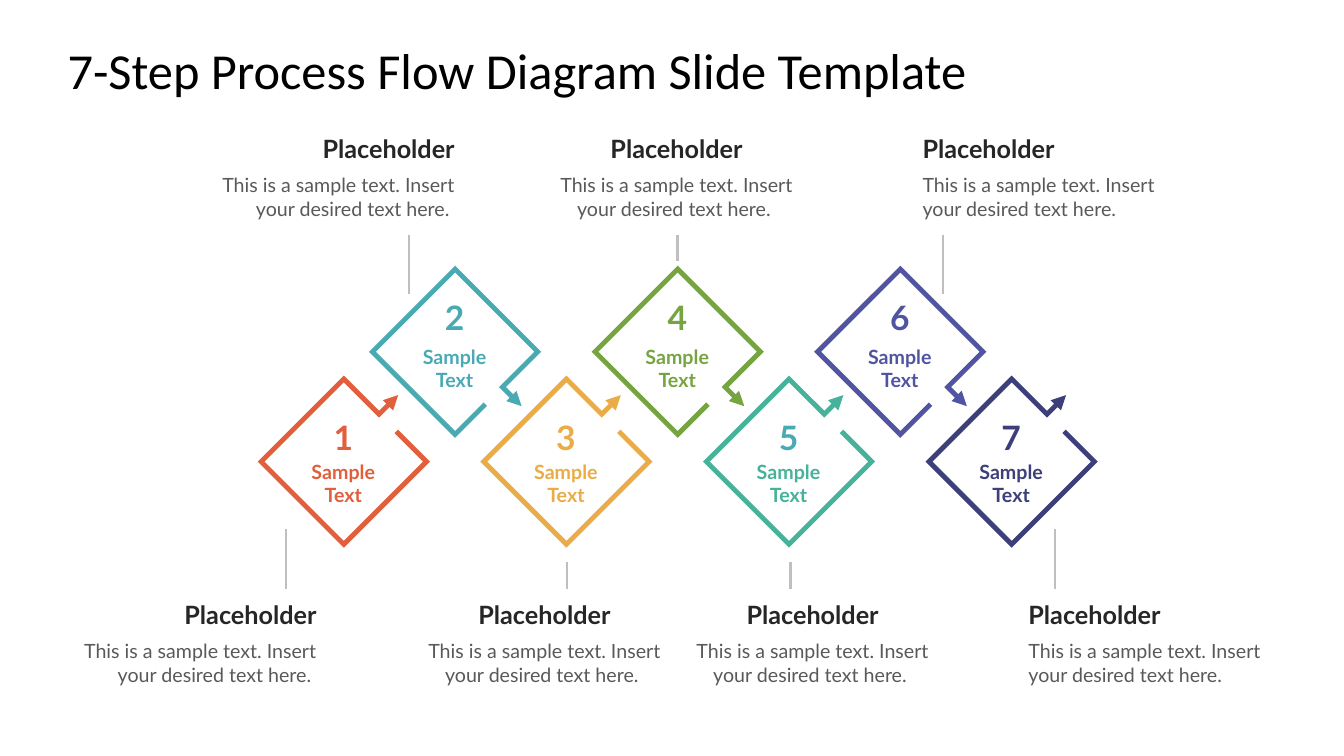
from dataclasses import dataclass

from lxml import etree
from pptx import Presentation
from pptx.dml.color import RGBColor
from pptx.enum import shapes, text
from pptx.oxml import ns
from pptx.util import Inches, Pt

TITLE = "7-Step Process Flow Diagram Slide Template"
HEADING = "Placeholder"
BODY = "This is a sample text. Insert your desired text here."
LABEL = "Sample\nText"
LEFT, CENTER, RIGHT = text.PP_ALIGN.LEFT, text.PP_ALIGN.CENTER, text.PP_ALIGN.RIGHT

# diamond colour, number colour, note left, note width, note alignment, leader x, leader length
STEPS = [
    ("E15F3C", "E15F3C", 0.56, 2.58, RIGHT, 2.84, 0.59),
    ("49AAB4", "49AAB4", 1.89, 2.62, RIGHT, 4.06, 0.59),
    ("EAAC46", "EAAC46", 4.09, 2.62, CENTER, 5.62, 0.26),
    ("76A441", "76A441", 5.40, 2.62, CENTER, 6.72, 0.26),
    ("47B29A", "49AAB4", 6.75, 2.62, CENTER, 7.84, 0.26),
    ("5054A1", "5054A1", 9.15, 2.62, LEFT, 9.35, 0.59),
    ("3C3F79", "3C3F79", 10.20, 2.58, LEFT, 10.46, 0.59),
]


@dataclass(frozen=True)
class Theme:
    title_font: str = "Calibri"
    font: str = "Lato"
    title: str = "000000"
    heading: str = "262626"
    body: str = "595959"
    leader: str = "BFBFBF"
    title_size: float = 36
    number_size: float = 24
    heading_size: float = 18
    body_size: float = 14
    diamond_line: float = 3.45
    leader_line: float = 1.5


THEME = Theme()
FIRST_X, STEP_X = 3.41, 1.104
RADIUS = 0.82
# Outline of a lower-row diamond around its centre, ending in the arrow tip
OUTLINE = [(0.52, -0.3), (RADIUS, 0), (0, RADIUS), (-RADIUS, 0), (0, -RADIUS),
           (0.35, -0.47), (0.54, -0.66)]
# Row heights: diamond centre, number, label, heading, body
LOWER = (4.58, 4.18, 4.56, 5.93, 6.34)
UPPER = (3.49, 2.99, 3.42, 1.31, 1.72)
LOWER_LEADER_END, UPPER_LEADER_START = 5.84, 2.33


def write_text(shape, content, *, size, color, font=THEME.font, bold=False,
               align=CENTER, anchor=text.MSO_ANCHOR.TOP, margin_y=0):
    frame = shape.text_frame
    frame.word_wrap = True
    frame.auto_size = text.MSO_AUTO_SIZE.NONE
    frame.vertical_anchor = anchor
    frame.margin_left = frame.margin_right = 0
    frame.margin_top = frame.margin_bottom = Inches(margin_y)
    frame.text = content
    for paragraph in frame.paragraphs:
        paragraph.alignment = align
        for run in paragraph.runs:
            run.font.name = font
            run.font.size = Pt(size)
            run.font.bold = bold
            run.font.color.rgb = RGBColor.from_string(color)


def add_text(slide, box, content, **text_format):
    shape = slide.shapes.add_textbox(*map(Inches, box))
    write_text(shape, content, **text_format)


def style_line(shape, color, width):
    shape.line.color.rgb = RGBColor.from_string(color)
    shape.line.width = Pt(width)


def add_diamond(slide, center_x, center_y, color, upper):
    """Draw an open diamond with an arrowhead; upper ones get a quarter turn."""
    offsets = [(-y, x) for x, y in OUTLINE] if upper else OUTLINE
    points = [(Inches(center_x + x), Inches(center_y + y)) for x, y in offsets]
    builder = slide.shapes.build_freeform(*points[0])
    builder.add_line_segments(points[1:], close=False)
    diamond = builder.convert_to_shape()
    diamond.shadow.inherit = False
    diamond.fill.background()
    style_line(diamond, color, THEME.diamond_line)
    line = diamond.line._get_or_add_ln()
    etree.SubElement(line, ns.qn("a:miter"), lim="800000")
    etree.SubElement(line, ns.qn("a:tailEnd"), type="triangle")


def add_leader(slide, x, top, length):
    leader = slide.shapes.add_connector(
        shapes.MSO_CONNECTOR.STRAIGHT,
        Inches(x), Inches(top), Inches(x), Inches(top + length))
    style_line(leader, THEME.leader, THEME.leader_line)
    etree.SubElement(leader._element.spPr, ns.qn("a:effectLst"))


def add_step(slide, index, step):
    color, number_color, note_left, note_width, align, leader_x, leader_length = step
    upper = index % 2 == 1
    center_y, number_y, label_y, heading_y, body_y = UPPER if upper else LOWER
    center_x = FIRST_X + index * STEP_X
    middle = text.MSO_ANCHOR.MIDDLE

    add_diamond(slide, center_x, center_y, color, upper)
    add_text(slide, (center_x - 0.25, number_y, 0.49, 0.31), str(index + 1),
             size=THEME.number_size, color=number_color, bold=True, anchor=middle)
    add_text(slide, (center_x - 0.58, label_y, 1.15, 0.46), LABEL,
             size=THEME.body_size, color=color, bold=True)
    add_text(slide, (note_left, heading_y, note_width, 0.33), HEADING,
             size=THEME.heading_size, color=THEME.heading, bold=True,
             align=align, anchor=middle)
    add_text(slide, (note_left, body_y, note_width, 0.54),
             BODY if align == LEFT else BODY + " ",
             size=THEME.body_size, color=THEME.body, align=align)
    leader_top = UPPER_LEADER_START if upper else LOWER_LEADER_END - leader_length
    add_leader(slide, leader_x, leader_top, leader_length)


def main():
    presentation = Presentation()
    presentation.slide_width, presentation.slide_height = Inches(13.33), Inches(7.5)
    slide = presentation.slides.add_slide(presentation.slide_layouts[5])

    title = slide.shapes.title
    title.left, title.top, title.width, title.height = map(Inches, (0.67, 0.3, 12, 0.78))
    write_text(title, TITLE, size=THEME.title_size, color=THEME.title,
               font=THEME.title_font, align=LEFT,
               anchor=text.MSO_ANCHOR.MIDDLE, margin_y=0.07)

    for index, step in enumerate(STEPS):
        add_step(slide, index, step)
    presentation.save("out.pptx")


if __name__ == "__main__":
    main()
